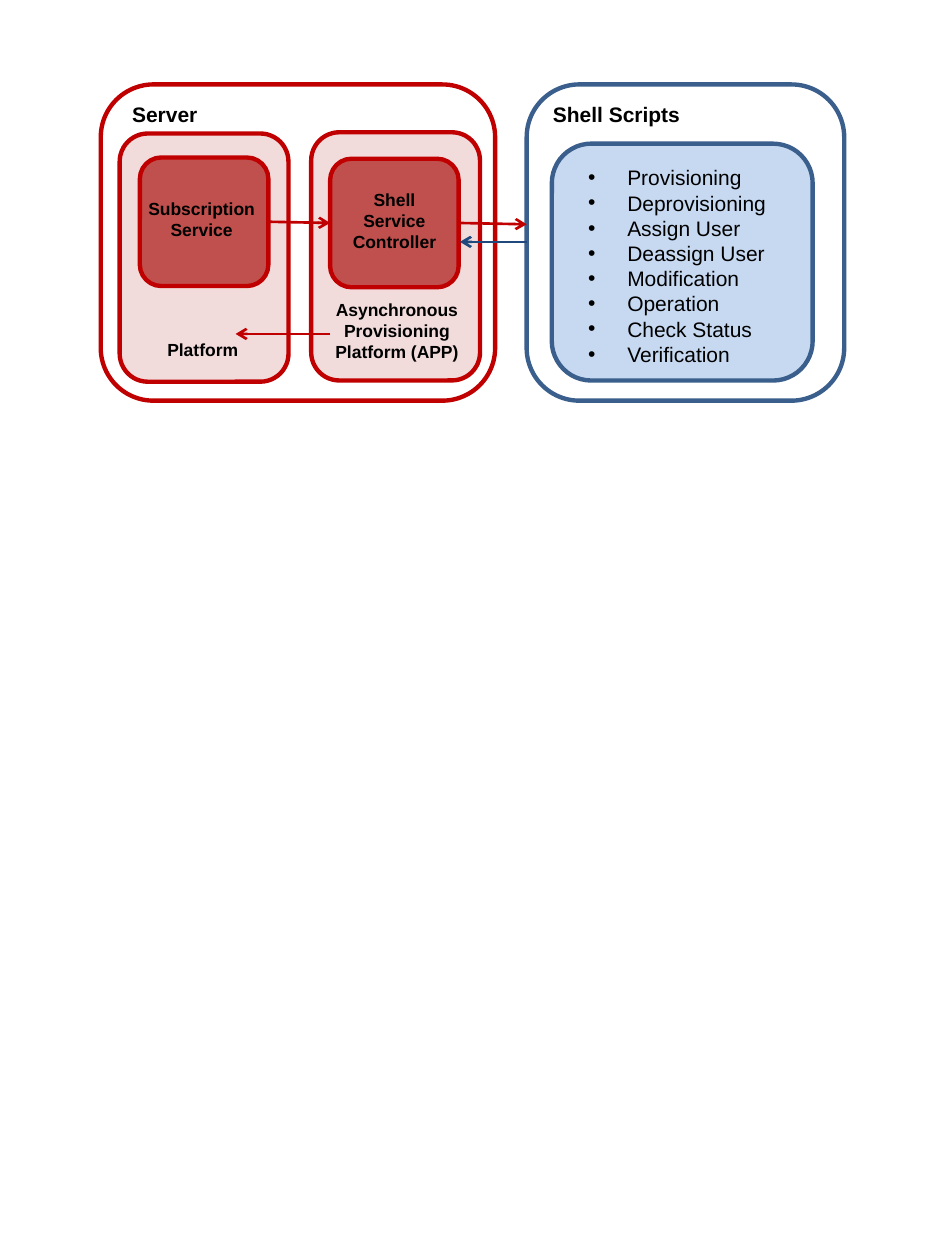
from lxml.etree import SubElement
from pptx import Presentation
from pptx.dml.color import RGBColor
from pptx.enum.shapes import MSO_CONNECTOR as CONN, MSO_SHAPE as SHAPE
from pptx.enum.text import MSO_ANCHOR as ANCHOR, MSO_AUTO_SIZE as AUTO, PP_ALIGN as ALIGN
from pptx.oxml.ns import qn
from pptx.util import Inches, Pt

COLORS = {"red": "C00000", "brick": "C0504D", "pink": "F2DCDB", "blue": "3A5F8C",
          "pale": "C6D9F1", "navy": "1F497D", "black": "000000"}


def color(name):
    return RGBColor.from_string(COLORS[name])


def write(sp, text, size=10, bold=True, align=ALIGN.LEFT, bullet=False, wrap=True,
          anchor=ANCHOR.TOP, auto=AUTO.SHAPE_TO_FIT_TEXT, insets=(0.1, 0.05, 0.1, 0.05)):
    tf = sp.text_frame
    tf.word_wrap, tf.auto_size, tf.vertical_anchor = wrap, auto, anchor
    tf.margin_left, tf.margin_top, tf.margin_right, tf.margin_bottom = map(Inches, insets)
    for i, line in enumerate(text.split("\n")):
        p = tf.paragraphs[0] if i == 0 else tf.add_paragraph()
        p.alignment = align
        if bullet:
            pPr = p._p.get_or_add_pPr()
            pPr.set("marL", str(Inches(0.31)))
            pPr.set("indent", str(-Inches(0.31)))
            SubElement(pPr, qn("a:buFont")).set("typeface", "Arial")
            SubElement(pPr, qn("a:buChar")).set("char", "•")
        r = p.add_run()
        r.text = line
        r.font.name, r.font.size, r.font.bold = "Arial", Pt(size), bold
        r.font.color.rgb = color("black")


prs = Presentation()
prs.slide_width, prs.slide_height = Inches(7.5), Inches(10)
s = prs.slides.add_slide(prs.slide_layouts[6])

# Rounded boxes: frames, platforms, services, script list
boxes = [
    (0.8, 0.67, 3.13, 2.51, None, "red", None),
    (4.18, 0.67, 2.52, 2.51, None, "blue", None),
    (0.95, 1.06, 1.34, 1.97, "pink", "red", None),
    (2.47, 1.05, 1.34, 1.97, "pink", "red", None),
    (1.11, 1.25, 1.02, 1.02, "brick", "red", "Subscription Service"),
    (2.62, 1.26, 1.02, 1.02, "brick", "red", "Shell\nService\nController"),
    (4.38, 1.14, 2.07, 1.88, "pale", "blue", None),
]
for x, y, w, h, fill, line, text in boxes:
    sp = s.shapes.add_shape(SHAPE.ROUNDED_RECTANGLE, *map(Inches, (x, y, w, h)))
    sp.shadow.inherit = False
    if fill:
        sp.fill.solid()
        sp.fill.fore_color.rgb = color(fill)
    else:
        sp.fill.background()
    sp.line.color.rgb, sp.line.width = color(line), Pt(2.5)
    if text:
        right = 0 if "\n" in text else 0.04
        write(sp, text, align=ALIGN.CENTER, anchor=ANCHOR.MIDDLE, auto=AUTO.NONE,
              insets=(0, 0, right, 0.04))

# Titles, platform captions and the list of scripts
scripts = ["Provisioning", "Deprovisioning", "Assign User", "Deassign User",
           "Modification", "Operation", "Check Status", "Verification"]
labels = [
    (0.95, 0.76, 2.32, 0.3, "Server", dict(size=12)),
    (4.29, 0.76, 1.22, 0.3, "Shell Scripts", dict(size=12, wrap=False)),
    (1.23, 2.64, 0.83, 0.27, "Platform", {}),
    (2.45, 2.32, 1.4, 0.61, "Asynchronous\nProvisioning\nPlatform (APP)",
     dict(align=ALIGN.CENTER)),
    (4.57, 1.26, 1.62, 1.72, "\n".join(scripts),
     dict(size=12, bold=False, bullet=True, wrap=False)),
]
for x, y, w, h, text, style in labels:
    write(s.shapes.add_textbox(*map(Inches, (x, y, w, h))), text, **style)

# Arrows between the parts
arrows = [
    (2.13, 1.76, 2.62, 1.77, "red"),
    (2.62, 2.65, 1.87, 2.65, "red"),
    (3.65, 1.77, 4.18, 1.78, "red"),
    (4.18, 1.92, 3.65, 1.92, "navy"),
]
for x1, y1, x2, y2, line in arrows:
    cx = s.shapes.add_connector(CONN.STRAIGHT, *map(Inches, (x1, y1, x2, y2)))
    cx.line.color.rgb, cx.line.width = color(line), Pt(1.5)
    SubElement(cx.line._get_or_add_ln(), qn("a:tailEnd")).set("type", "arrow")
    SubElement(cx._element.spPr, qn("a:effectLst"))

prs.save("out.pptx")
